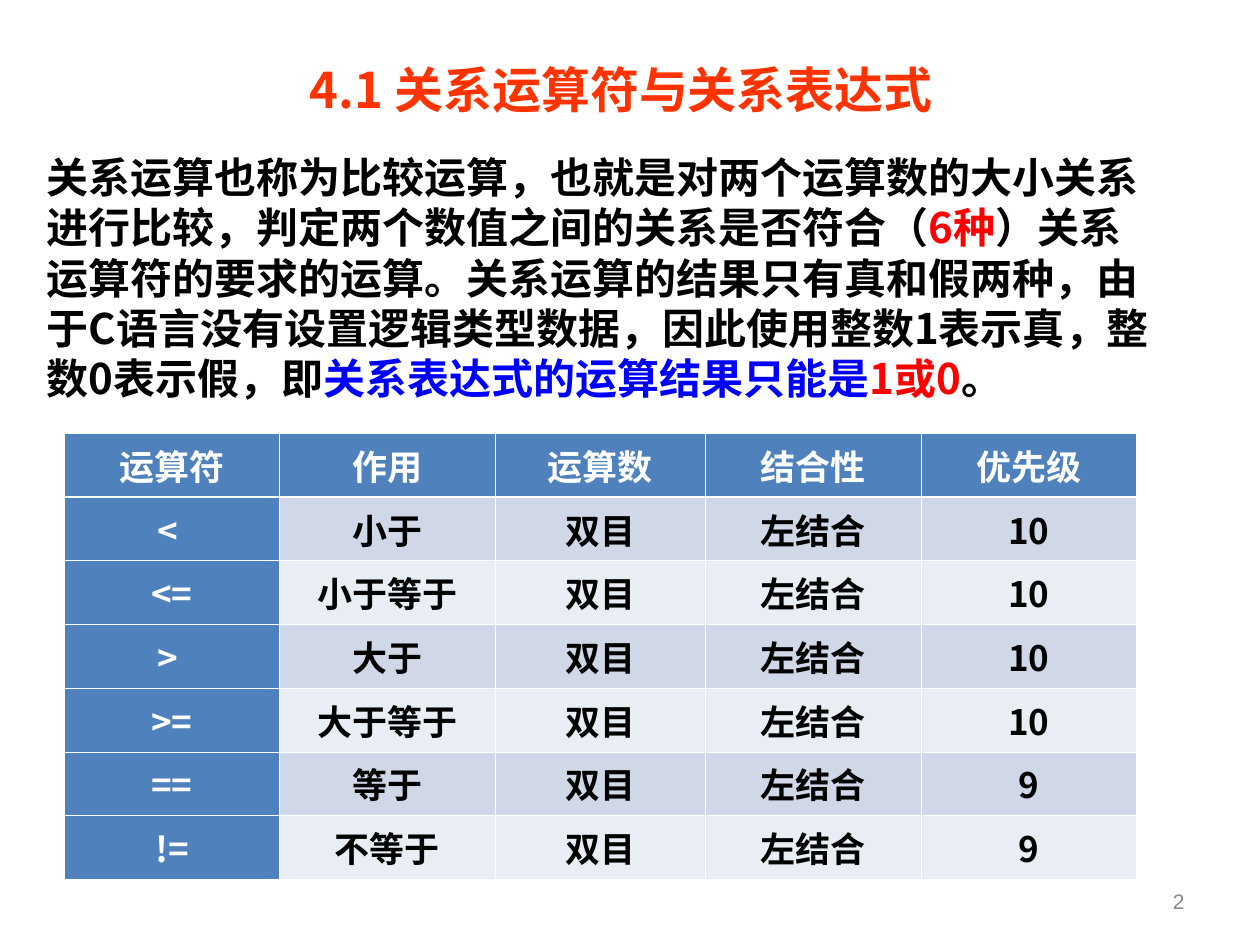
from dataclasses import dataclass

from lxml.etree import SubElement
from pptx import Presentation
from pptx.dml.color import RGBColor
from pptx.enum.text import MSO_ANCHOR, MSO_AUTO_SIZE, PP_ALIGN
from pptx.oxml.ns import qn
from pptx.util import Inches, Pt


@dataclass(frozen=True)
class Theme:
    """Fonts, sizes and colours of the slide."""
    face: str = "Noto Sans CJK SC"
    number_face: str = "Arial"
    title_size: int = 28
    body_size: int = 24
    table_size: int = 20
    number_size: int = 12
    line_height: float = 1.2
    title: str = "FF3300"
    ink: str = "000000"
    key: str = "FF0000"
    result: str = "0000FF"
    number: str = "898989"
    white: str = "FFFFFF"
    header: str = "4F81BD"
    bands: tuple = ("D0D8E8", "E9EDF4")
    grid_line: float = 0.45
    header_line: float = 1.47


THEME = Theme()

EXPLANATION = [
    ("关系运算也称为比较运算，也就是对两个运算数的大小关系进行比较，判定两个数值之间的关系是否符合（", THEME.ink),
    ("6种", THEME.key),
    ("）关系运算符的要求的运算。关系运算的结果只有真和假两种，由于C语言没有设置逻辑类型数据，"
     "因此使用整数1表示真，整数0表示假，即", THEME.ink),
    ("关系表达式的运算结果只能是", THEME.result),
    ("1或0", THEME.key),
    ("。", THEME.ink),
]
HEADINGS = ("运算符", "作用", "运算数", "结合性", "优先级")
OPERATORS = [
    ("< ", "小于", "10"),
    ("<=", "小于等于", "10"),
    ("> ", "大于", "10"),
    (">=", "大于等于", "10"),
    ("==", "等于", "9"),
    ("!=", "不等于", "9"),
]


def add_run(paragraph, text, size, color, face=THEME.face, bold=True):
    """Append one formatted run to a paragraph."""
    run = paragraph.add_run()
    run.text = text
    run.font.size = Pt(size)
    run.font.bold = bold
    run.font.name = face
    run.font.color.rgb = RGBColor.from_string(color)
    east_asian = SubElement(run.font._element, qn("a:ea"))
    east_asian.set("typeface", face)


def place(shape, box):
    """Move a shape to a box given in inches."""
    shape.left, shape.top, shape.width, shape.height = map(Inches, box)


def fill_placeholder(placeholder, box, runs, size, align):
    """Place a text placeholder and write its runs without a bullet."""
    place(placeholder, box)
    frame = placeholder.text_frame
    frame.word_wrap = True
    frame.auto_size = MSO_AUTO_SIZE.NONE
    frame.vertical_anchor = MSO_ANCHOR.TOP
    paragraph = frame.paragraphs[0]
    paragraph.alignment = align
    paragraph.space_before = Pt(0)
    paragraph.line_spacing = Pt(size * THEME.line_height)
    properties = paragraph._p.get_or_add_pPr()
    properties.set("marL", "0")
    properties.set("indent", "0")
    SubElement(properties, qn("a:buNone"))
    for text, color in runs:
        add_run(paragraph, text, size, color)


def add_border(cell, side, width):
    """Draw one white side of a table cell."""
    line = SubElement(cell._tc.get_or_add_tcPr(), qn(f"a:ln{side}"), w=str(Pt(width)))
    SubElement(SubElement(line, qn("a:solidFill")), qn("a:srgbClr"), val=THEME.white)


def format_cell(cell, text, row, column):
    """Write a cell and style it by its place in the table."""
    heading = row == 0 or column == 0
    cell.margin_left = cell.margin_right = Inches(0.07)
    cell.margin_top = cell.margin_bottom = Inches(0.05)
    for side in "LRTB":
        under_header = (row, side) in ((0, "B"), (1, "T"))
        add_border(cell, side, THEME.header_line if under_header else THEME.grid_line)
    cell.fill.solid()
    cell.fill.fore_color.rgb = RGBColor.from_string(
        THEME.header if heading else THEME.bands[(row - 1) % 2])
    paragraph = cell.text_frame.paragraphs[0]
    paragraph.alignment = PP_ALIGN.CENTER
    add_run(paragraph, text, THEME.table_size, THEME.white if heading else THEME.ink)


def add_operator_table(slide, box):
    """Build the operator table in the given box."""
    rows = [HEADINGS] + [(sign, meaning, "双目", "左结合", rank)
                         for sign, meaning, rank in OPERATORS]
    table = slide.shapes.add_table(len(rows), len(HEADINGS), *map(Inches, box)).table
    table.first_col = True
    for column, width in zip(table.columns, (1.71, 1.71, 1.67, 1.71, 1.71)):
        column.width = Inches(width)
    for r, values in enumerate(rows):
        for c, value in enumerate(values):
            format_cell(table.cell(r, c), value, r, c)


def add_page_number(slide, box):
    """Write the page number at the right of the given box."""
    frame = slide.shapes.add_textbox(*map(Inches, box)).text_frame
    frame.word_wrap = True
    frame.vertical_anchor = MSO_ANCHOR.MIDDLE
    paragraph = frame.paragraphs[0]
    paragraph.alignment = PP_ALIGN.RIGHT
    add_run(paragraph, "2", THEME.number_size, THEME.number, THEME.number_face, False)


def main():
    """Build the slide and save it."""
    deck = Presentation()
    deck.slide_width, deck.slide_height = Inches(10), Inches(7.5)
    slide = deck.slides.add_slide(deck.slide_layouts[1])
    title, body = slide.placeholders
    add_page_number(slide, (7.17, 6.95, 2.33, 0.4))
    fill_placeholder(title, (1, 0.42, 7.86, 0.57),
                     [("4.1 关系运算符与关系表达式", THEME.title)],
                     THEME.title_size, PP_ALIGN.CENTER)
    fill_placeholder(body, (0.27, 1.15, 9, 2.28), EXPLANATION,
                     THEME.body_size, PP_ALIGN.LEFT)
    add_operator_table(slide, (0.51, 3.44, 8.51, 3.54))
    deck.save("out.pptx")


if __name__ == "__main__":
    main()
